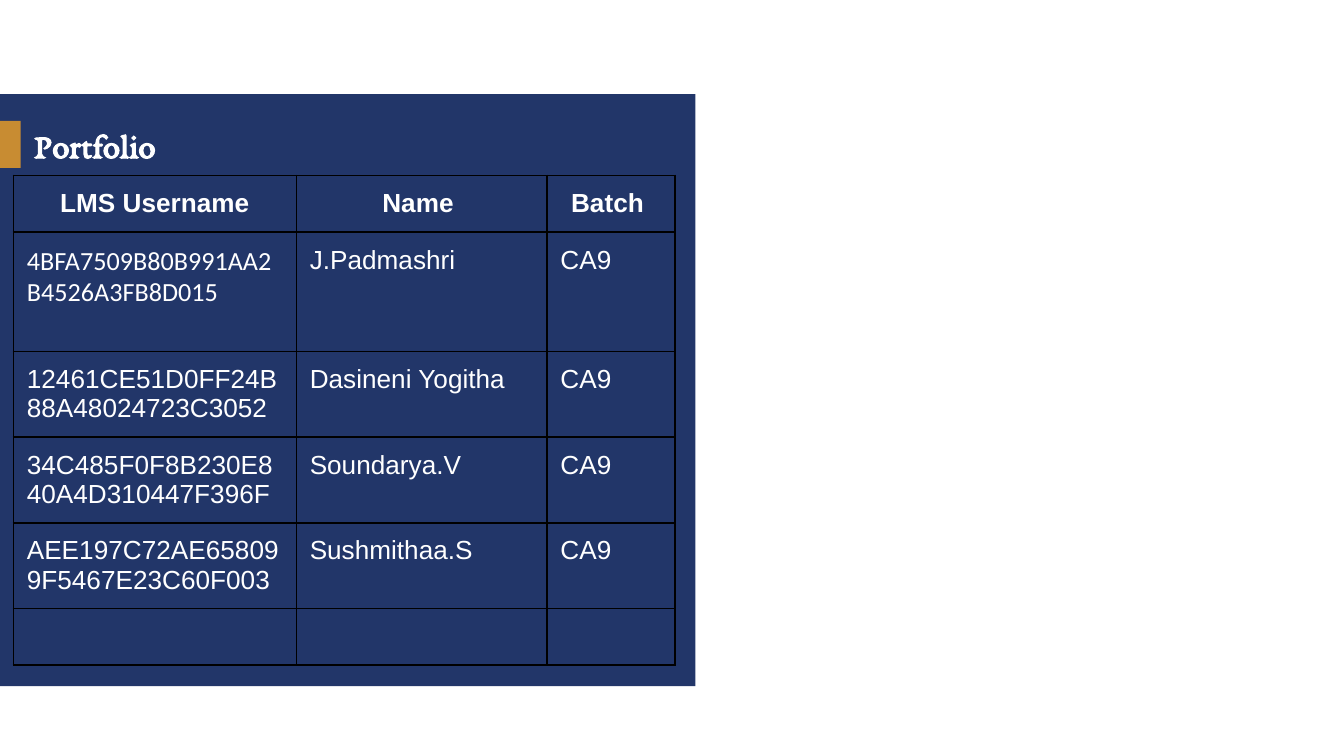
import pptx
import pptx.dml.color
import pptx.enum.shapes
import pptx.enum.text
import pptx.oxml.ns
import pptx.util
from dataclasses import dataclass
from lxml import etree

EMU_PER_PX = 4572


@dataclass(frozen=True)
class Theme:
    panel: str = "223669"
    accent: str = "C88C32"
    text: str = "FFFFFF"
    border: str = "000000"
    title_font: str = "EB Garamond"
    body_font: str = "Arial"
    code_font: str = "Calibri"
    title_size: float = 18.3
    body_size: float = 14
    border_width: float = 1


THEME = Theme()
COLUMN_WIDTHS = [421, 373, 191]
ROW_HEIGHTS = [84, 178, 127, 127, 127, 84]
HEADER = ["LMS Username", "Name ", "Batch "]
MEMBERS = [
    ["4BFA7509B80B991AA2B4526A3FB8D015", "J.Padmashri", "CA9"],
    ["12461CE51D0FF24B88A48024723C3052", "Dasineni Yogitha", "CA9"],
    ["34C485F0F8B230E840A4D310447F396F", "Soundarya.V", "CA9"],
    ["AEE197C72AE658099F5467E23C60F003", "Sushmithaa.S", "CA9"],
]


def px(length):
    return pptx.util.Emu(length * EMU_PER_PX)


def rgb(color):
    return pptx.dml.color.RGBColor.from_string(color)


def add_block(slide, left, top, width, height, color):
    block = slide.shapes.add_shape(
        pptx.enum.shapes.MSO_SHAPE.RECTANGLE, px(left), px(top), px(width), px(height)
    )
    block.shadow.inherit = False
    block.fill.solid()
    block.fill.fore_color.rgb = rgb(color)
    block.line.fill.background()


def format_runs(paragraph, font, size, bold):
    for run in paragraph.runs:
        run.font.name = font
        run.font.size = pptx.util.Pt(size)
        run.font.bold = bold
        run.font.color.rgb = rgb(THEME.text)


def set_title(slide, text, left, top, width, height):
    title = slide.shapes.title
    title.left, title.top, title.width, title.height = map(px, (left, top, width, height))
    frame = title.text_frame
    frame.text = text
    frame.word_wrap = True
    frame.auto_size = pptx.enum.text.MSO_AUTO_SIZE.NONE
    frame.vertical_anchor = pptx.enum.text.MSO_ANCHOR.MIDDLE
    frame.margin_left = frame.margin_right = px(20)
    frame.margin_top = frame.margin_bottom = px(10)
    paragraph = frame.paragraphs[0]
    paragraph.alignment = pptx.enum.text.PP_ALIGN.LEFT
    format_runs(paragraph, THEME.title_font, THEME.title_size, True)
    slide.shapes._spTree.append(title._element)


def add_borders(cell):
    properties = cell._tc.get_or_add_tcPr()
    for side in ("a:lnL", "a:lnR", "a:lnT", "a:lnB"):
        line = etree.SubElement(
            properties, pptx.oxml.ns.qn(side), w=str(pptx.util.Pt(THEME.border_width))
        )
        fill = etree.SubElement(line, pptx.oxml.ns.qn("a:solidFill"))
        etree.SubElement(fill, pptx.oxml.ns.qn("a:srgbClr"), val=THEME.border)


def fill_cell(cell, text, font, is_header):
    cell.margin_left = cell.margin_right = px(20)
    cell.margin_top = cell.margin_bottom = px(20)
    cell.text_frame.text = text
    paragraph = cell.text_frame.paragraphs[0]
    alignment = pptx.enum.text.PP_ALIGN
    paragraph.alignment = alignment.CENTER if is_header else alignment.LEFT
    format_runs(paragraph, font, THEME.body_size, is_header)


def add_member_table(slide, left, top):
    table = slide.shapes.add_table(
        len(ROW_HEIGHTS), len(COLUMN_WIDTHS),
        px(left), px(top), px(sum(COLUMN_WIDTHS)), px(sum(ROW_HEIGHTS)),
    ).table
    table.first_row = table.horz_banding = False
    for column, width in zip(table.columns, COLUMN_WIDTHS):
        column.width = px(width)
    for row, height in zip(table.rows, ROW_HEIGHTS):
        row.height = px(height)
    for cell in table.iter_cells():
        add_borders(cell)
        cell.fill.solid()
        cell.fill.fore_color.rgb = rgb(THEME.panel)
    for row_index, texts in enumerate([HEADER, *MEMBERS]):
        for column_index, text in enumerate(texts):
            is_first_code = (row_index, column_index) == (1, 0)
            font = THEME.code_font if is_first_code else THEME.body_font
            fill_cell(table.cell(row_index, column_index), text, font, row_index == 0)


def main():
    presentation = pptx.Presentation()
    presentation.slide_width = px(2000)
    presentation.slide_height = px(1125)
    slide = presentation.slides.add_slide(presentation.slide_layouts[5])
    add_block(slide, 0, 140, 1035, 881, THEME.panel)
    add_block(slide, 0, 180, 31, 70, THEME.accent)
    set_title(slide, "Portfolio", 31, 177, 748, 76)
    add_member_table(slide, 20, 261)
    presentation.save("out.pptx")


if __name__ == "__main__":
    main()
